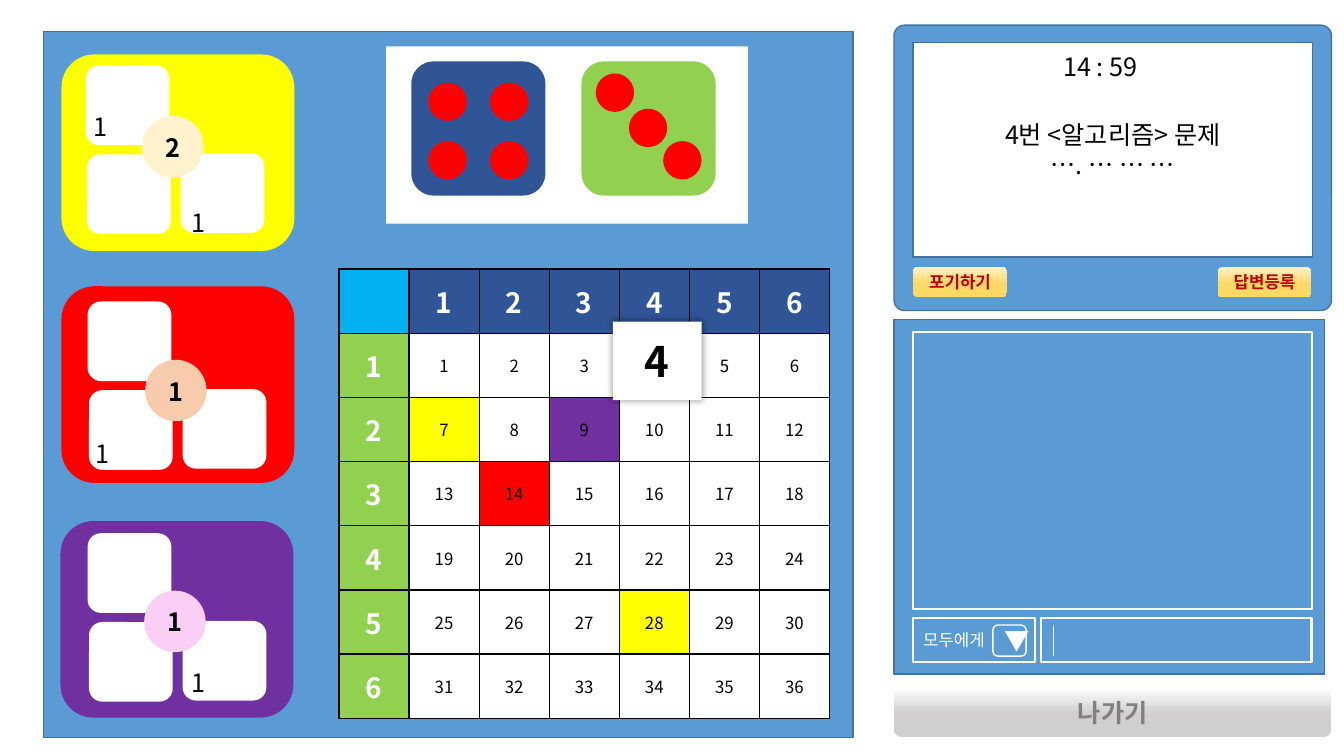
from dataclasses import dataclass
from typing import Optional

from lxml import etree
from pptx import Presentation
from pptx import util as u
from pptx.dml import color
from pptx.enum import shapes, text
from pptx.oxml import ns

RECT = shapes.MSO_SHAPE.RECTANGLE
ROUND = shapes.MSO_SHAPE.ROUNDED_RECTANGLE
OVAL = shapes.MSO_SHAPE.OVAL
LEFT = text.PP_ALIGN.LEFT
CENTER = text.PP_ALIGN.CENTER


@dataclass(frozen=True)
class Theme:
    font: str = "Noto Sans CJK KR"
    white: str = "FFFFFF"
    black: str = "000000"
    panel: str = "5B9BD5"
    edge: str = "43739E"
    navy: str = "2F5597"
    green: str = "92D050"
    sky: str = "00B0F0"
    yellow: str = "FFFF00"
    red: str = "FF0000"
    purple: str = "7030A0"
    gold: tuple[str, str] = ("FFF2CC", "FFD966")
    silver: tuple[str, str] = ("FFFFFF", "D0CECE")
    button_text: str = "C00000"
    exit_text: str = "808080"
    small: float = 12
    body: float = 18
    header: float = 20
    popup: float = 30


T = Theme()


@dataclass(frozen=True)
class Box:
    left: float
    top: float
    width: float
    height: float
    fill: str | tuple[str, str]
    kind: shapes.MSO_SHAPE = RECT
    edge: Optional[str] = None
    edge_width: float = 1
    radius: Optional[float] = None


@dataclass(frozen=True)
class Label:
    words: str
    size: float = T.body
    ink: str = T.black
    bold: bool = False
    align: text.PP_ALIGN = CENTER


@dataclass(frozen=True)
class Player:
    card: tuple[float, float]
    fill: str
    tiles: tuple[float, float]
    badge: tuple[float, float]
    badge_fill: str
    score: str
    marks: tuple[tuple[float, float], ...]


@dataclass(frozen=True)
class Die:
    left: float
    fill: str
    pips: tuple[tuple[float, float], ...]


PLAYERS = (
    Player((43.9, 38.9), T.yellow, (61.2, 46.8), (101.5, 82.8), "FFF2CC", "2",
           ((59.8, 75.6), (129.6, 144.7))),
    Player((43.9, 204.5), T.red, (62.6, 215.3), (103.7, 257), "F8CBAD", "1",
           ((61.2, 309.6),)),
    Player((43.2, 372.2), T.purple, (62.6, 380.9), (103, 421.9), "FACEF5", "1",
           ((129.6, 473),)),
)
TILE_OFFSETS = ((0, 0), (67.9, 62.6), (1, 63.4))
DICE = (
    Die(293.8, T.navy, ((12.2, 15.1), (56.2, 15.1), (12.2, 56.9), (56.2, 56.9))),
    Die(415.4, T.green, ((10.1, 8.6), (33.8, 33.8), (58.3, 56.9))),
)
PANELS = (
    (Box(638.6, 228.2, 307.4, 253.4, T.panel, edge=T.edge), None),
    (Box(652.3, 236.9, 285.1, 198, T.panel, edge=T.white, edge_width=1.5), None),
    (Box(743.8, 441.4, 193, 31.7, T.panel, edge=T.white, edge_width=1.5), None),
    (Box(652.3, 441.4, 87.1, 31.7, T.panel, edge=T.white, edge_width=1.5),
     Label("모두에게", T.small, T.white, align=LEFT)),
    (Box(709.2, 446.4, 23.8, 22.3, T.panel, ROUND, T.white),
     Label("▼", ink=T.white)),
    (Box(31, 22.3, 578.2, 504.7, T.panel, edge=T.edge), None),
    (Box(638.6, 18, 312.5, 203.8, T.panel, ROUND, T.edge, radius=0.037), None),
    (Box(638.6, 491, 312.5, 35.3, T.silver, ROUND),
     Label("나가기", T.body, T.exit_text, True)),
    (Box(652.3, 30.2, 285.1, 153.4, T.white, edge=T.edge),
     Label("4번 <알고리즘> 문제\n…. … … …")),
    (Box(275.8, 33.1, 258.5, 126.7, T.white), None),
    (Box(652.3, 190.4, 67, 21.6, T.gold, ROUND),
     Label("포기하기", T.small, T.button_text, True)),
    (Box(869.8, 190.8, 67, 21.6, T.gold, ROUND),
     Label("답변등록", T.small, T.button_text, True)),
)
TAKEN = {7: T.yellow, 9: T.purple, 14: T.red, 28: T.yellow}


def rgb(value: str) -> color.RGBColor:
    return color.RGBColor.from_string(value)


def add_child(parent, tag: str, **attrs: str):
    return etree.SubElement(parent, ns.qn(tag), attrs)


def write(tf, label: Label) -> None:
    tf.text = label.words
    for p in tf.paragraphs:
        p.alignment = label.align
        for r in p.runs:
            r.font.name = T.font
            r.font.size = u.Pt(label.size)
            r.font.bold = label.bold
            r.font.color.rgb = rgb(label.ink)
            add_child(r.font._element, "a:ea", typeface=T.font)


def draw_box(slide, box: Box, label: Optional[Label] = None):
    sp = slide.shapes.add_shape(box.kind, u.Pt(box.left), u.Pt(box.top),
                                u.Pt(box.width), u.Pt(box.height))
    sp.shadow.inherit = False
    if box.radius is not None:
        sp.adjustments[0] = box.radius
    if isinstance(box.fill, tuple):
        sp.fill.gradient()
        sp.fill.gradient_angle = 270
        for stop, shade, position in zip(sp.fill.gradient_stops, box.fill, (0, 0.54)):
            stop.color.rgb = rgb(shade)
            stop.position = position
    else:
        sp.fill.solid()
        sp.fill.fore_color.rgb = rgb(box.fill)
    if box.edge:
        sp.line.color.rgb = rgb(box.edge)
        sp.line.width = u.Pt(box.edge_width)
    else:
        sp.line.fill.background()
    if label:
        write(sp.text_frame, label)
    return sp


def draw_text(slide, left: float, top: float, width: float, label: Label) -> None:
    sp = slide.shapes.add_textbox(u.Pt(left), u.Pt(top), u.Pt(width), u.Pt(29))
    sp.text_frame.word_wrap = False
    sp.text_frame.auto_size = text.MSO_AUTO_SIZE.SHAPE_TO_FIT_TEXT
    write(sp.text_frame, label)


def draw_player(slide, player: Player) -> None:
    draw_box(slide, Box(*player.card, 166.3, 140.4, player.fill, ROUND))
    left, top = player.tiles
    for dx, dy in TILE_OFFSETS:
        draw_box(slide, Box(left + dx, top + dy, 59.8, 56.9, T.white, ROUND))
    for mark in player.marks:
        draw_text(slide, *mark, 22.3, Label("1"))
    left, top = player.badge
    draw_box(slide, Box(left, top, 43.9, 43.9, player.badge_fill, OVAL))
    draw_text(slide, left + 9.4, top + 7.9, 25.2, Label(player.score, bold=True))


def draw_die(slide, die: Die) -> None:
    top = 43.9
    draw_box(slide, Box(die.left, top, 95.8, 95.8, die.fill, ROUND))
    for dx, dy in die.pips:
        draw_box(slide, Box(die.left + dx, top + dy, 27.4, 27.4, T.red, OVAL))


def style_cell(cell, fill: str, label: Optional[Label]) -> None:
    tc_pr = cell._tc.get_or_add_tcPr()
    for side in "LRTB":
        ln = add_child(tc_pr, f"a:ln{side}", w=str(u.Pt(1)))
        add_child(add_child(ln, "a:solidFill"), "a:srgbClr", val=T.black)
    cell.fill.solid()
    cell.fill.fore_color.rgb = rgb(fill)
    cell.vertical_anchor = text.MSO_ANCHOR.MIDDLE
    if label:
        write(cell.text_frame, label)


def draw_grid(slide) -> None:
    col_width, row_height = 50.08, 45.85
    table = slide.shapes.add_table(7, 7, u.Pt(242.1), u.Pt(192.2),
                                   u.Pt(7 * col_width), u.Pt(7 * row_height)).table
    for col in table.columns:
        col.width = u.Pt(col_width)
    for row in table.rows:
        row.height = u.Pt(row_height)
    for i in range(7):
        for j in range(7):
            if i and j:
                number = 6 * (i - 1) + j
                fill, label = TAKEN.get(number, T.white), Label(str(number), T.small)
            elif i or j:
                fill = T.green if i else T.navy
                label = Label(str(i + j), T.header, T.white, True)
            else:
                fill, label = T.sky, None
            style_cell(table.cell(i, j), fill, label)


def draw_popup(slide) -> None:
    sp = draw_box(slide, Box(437.8, 229.7, 63.4, 56.2, T.white),
                  Label("4", T.popup, bold=True))
    effects = sp._element.spPr.find(ns.qn("a:effectLst"))
    shadow = add_child(effects, "a:outerShdw", blurRad=str(u.Pt(5)), sx="102000",
                       sy="102000", algn="ctr", rotWithShape="0")
    add_child(add_child(shadow, "a:srgbClr", val=T.black), "a:alpha", val="40000")


def draw_caret(slide) -> None:
    line = slide.shapes.add_connector(shapes.MSO_CONNECTOR.STRAIGHT, u.Pt(752.4),
                                      u.Pt(446.4), u.Pt(752.4), u.Pt(468.7))
    line.line.color.rgb = rgb(T.white)
    line.line.width = u.Pt(0.5)
    add_child(line._element.spPr, "a:effectLst")


def main() -> None:
    prs = Presentation()
    prs.slide_width, prs.slide_height = u.Pt(960), u.Pt(540)
    slide = prs.slides.add_slide(prs.slide_layouts[6])
    for box, label in PANELS:
        draw_box(slide, box, label)
    draw_caret(slide)
    draw_text(slide, 752.4, 33.1, 72, Label("14 : 59", align=LEFT))
    for die in DICE:
        draw_die(slide, die)
    for player in PLAYERS:
        draw_player(slide, player)
    draw_grid(slide)
    draw_popup(slide)
    prs.save("out.pptx")


if __name__ == "__main__":
    main()
